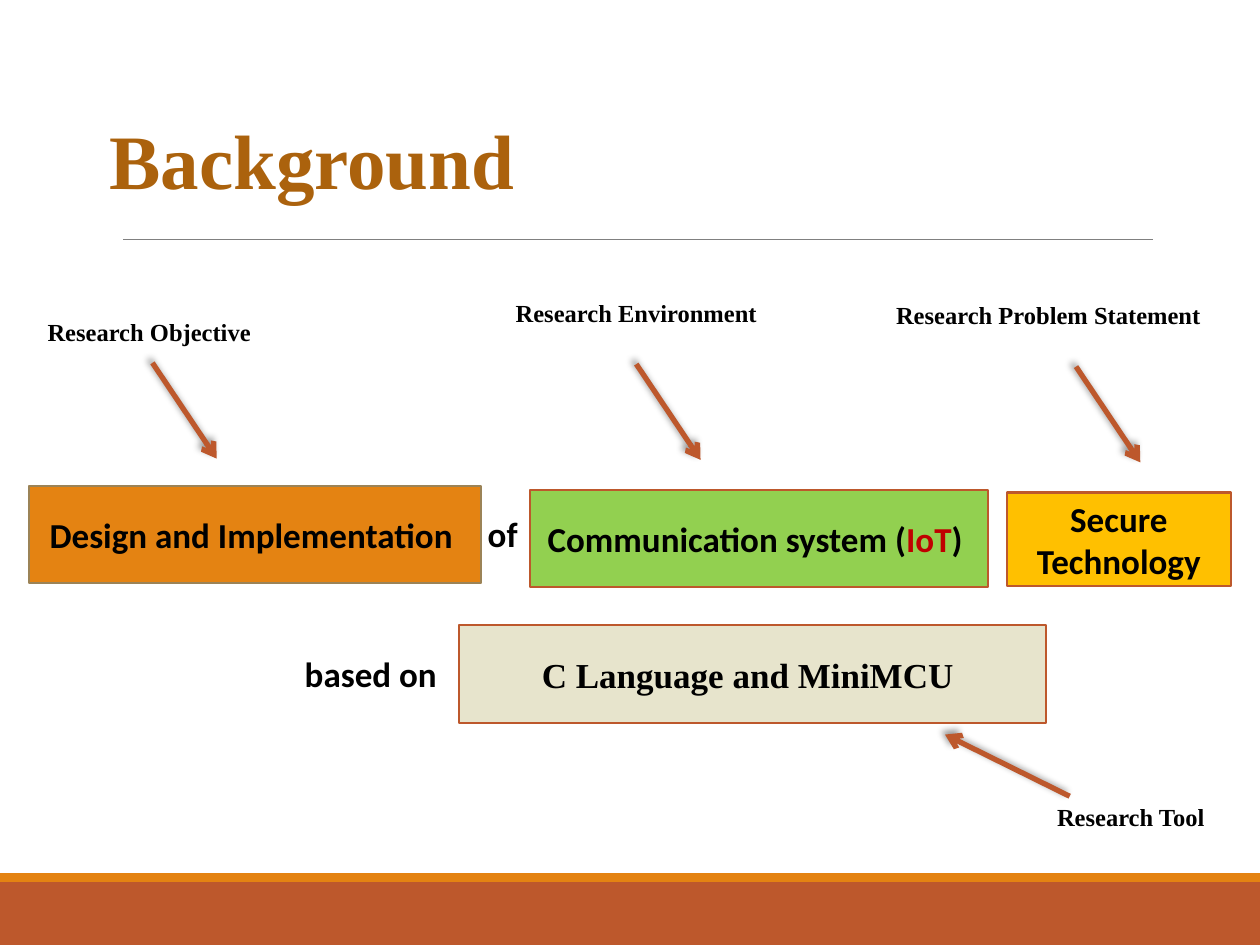
from dataclasses import dataclass

from lxml import etree
from pptx import Presentation
from pptx.dml.color import RGBColor
from pptx.enum.shapes import MSO_CONNECTOR, MSO_SHAPE
from pptx.enum.text import MSO_ANCHOR, MSO_AUTO_SIZE, PP_ALIGN
from pptx.oxml import parse_xml
from pptx.oxml.ns import nsdecls, qn
from pptx.util import Inches, Pt


@dataclass(frozen=True)
class Theme:
    rust: str = "BD582C"
    orange: str = "E48312"
    brown: str = "AB620D"
    olive: str = "9B8357"
    green: str = "92D050"
    gold: str = "FFC000"
    cream: str = "E7E4CC"
    red: str = "C00000"
    gray: str = "808080"
    black: str = "000000"
    sans: str = "Calibri"
    serif: str = "Times New Roman"
    title_size: int = 44
    phrase_size: int = 20
    label_size: int = 14


THEME = Theme()
SHADOW = f"""<a:effectLst {nsdecls("a")}>
  <a:outerShdw blurRad="{Pt(4)}" dist="{Pt(3)}" dir="{225 * 60000}" algn="tl" rotWithShape="0">
    <a:srgbClr val="{THEME.black}"><a:alpha val="40000"/></a:srgbClr>
  </a:outerShdw>
</a:effectLst>"""


def rgb(value):
    return RGBColor.from_string(value)


def inches(values):
    return [Inches(value) for value in values]


def set_all(target, values):
    for name, value in values.items():
        setattr(target, name, value)


def write(shape, runs, size, font, align=PP_ALIGN.CENTER):
    """Fill the first paragraph with bold (text, colour) runs."""
    paragraph = shape.text_frame.paragraphs[0]
    paragraph.alignment = align
    for text, color in runs:
        run = paragraph.add_run()
        run.text = text
        set_all(run.font, {"size": Pt(size), "name": font, "bold": True})
        run.font.color.rgb = rgb(color)


def add_rectangle(slide, box, fill, outline=None):
    shape = slide.shapes.add_shape(MSO_SHAPE.RECTANGLE, *inches(box))
    shape.shadow.inherit = False
    shape.fill.solid()
    shape.fill.fore_color.rgb = rgb(fill)
    if outline:
        shape.line.color.rgb = rgb(outline)
        shape.line.width = Pt(1.25)
    else:
        shape.line.fill.background()
    return shape


def add_block(slide, box, runs, fill, outline=THEME.rust, font=THEME.sans):
    block = add_rectangle(slide, box, fill, outline)
    set_all(block.text_frame, {"word_wrap": True, "vertical_anchor": MSO_ANCHOR.MIDDLE})
    write(block, runs, THEME.phrase_size, font)


def add_text(slide, box, text, size, font, color=THEME.black, align=PP_ALIGN.CENTER, wrap=True):
    text_box = slide.shapes.add_textbox(*inches(box))
    set_all(text_box.text_frame,
            {"word_wrap": wrap, "auto_size": MSO_AUTO_SIZE.SHAPE_TO_FIT_TEXT})
    write(text_box, [(text, color)], size, font, align)


def add_line(slide, start, end, color, width):
    line = slide.shapes.add_connector(MSO_CONNECTOR.STRAIGHT, *inches(start + end))
    line.line.color.rgb = rgb(color)
    line.line.width = Pt(width)
    return line


def add_arrow(slide, start, end):
    arrow = add_line(slide, start, end, THEME.rust, 3)
    etree.SubElement(arrow.line._get_or_add_ln(), qn("a:tailEnd"), type="arrow")
    arrow._element.spPr.append(parse_xml(SHADOW))


def add_label(slide, box, text, arrow_start, arrow_run, wrap=True):
    """Name one part of the phrase and point an arrow at it."""
    add_text(slide, box, text, THEME.label_size, THEME.serif, wrap=wrap)
    arrow_end = tuple(a + b for a, b in zip(arrow_start, arrow_run))
    add_arrow(slide, arrow_start, arrow_end)


def add_footer(slide, box):
    left, top, width, height = box
    stripe = 0.07
    add_rectangle(slide, (left, top + stripe, width, height - stripe), THEME.rust)
    add_rectangle(slide, (left, top, width, stripe), THEME.orange)


def add_header(slide, box):
    left, top, width, height = box
    add_text(slide, (left, top, 4.07, 0.84), "Background", THEME.title_size, THEME.serif,
             THEME.brown, PP_ALIGN.LEFT)
    rule = add_line(slide, (left + 0.21, top + height), (left + width, top + height),
                    THEME.gray, 0.5)
    rule._element.spPr.append(parse_xml(f"<a:effectLst {nsdecls('a')}/>"))


def add_phrase(slide, box):
    """Set the research title as coloured blocks joined by plain words."""
    left, top, _, _ = box
    black = THEME.black
    blocks = [
        ((0, 0, 3.59, 0.77), [("Design and Implementation ", black)],
         THEME.orange, THEME.olive, THEME.sans),
        ((3.98, 0.03, 3.63, 0.77),
         [("Communication system (", black), ("IoT", THEME.red), (") ", black)],
         THEME.green, THEME.rust, THEME.sans),
        ((7.76, 0.05, 1.78, 0.74), [("Secure Technology", black)],
         THEME.gold, THEME.rust, THEME.sans),
        ((3.41, 1.1, 4.66, 0.78), [("C Language and MiniMCU ", black)],
         THEME.cream, THEME.rust, THEME.serif),
    ]
    for (x, y, width, height), runs, fill, outline, font in blocks:
        add_block(slide, (left + x, top + y, width, height), runs, fill, outline, font)
    joining_words = [
        ((3.54, 0.16, 0.44, 0.44), "of", PP_ALIGN.CENTER),
        ((2.09, 1.27, 1.32, 0.44), "based on", PP_ALIGN.LEFT),
    ]
    for (x, y, width, height), text, align in joining_words:
        add_text(slide, (left + x, top + y, width, height), text, THEME.phrase_size,
                 THEME.sans, align=align, wrap=False)


def add_labels(slide, box):
    left, top, _, _ = box
    down, up = (0.51, 0.76), (-0.99, -0.49)
    labels = [
        ((0, 0.15, 2.05), "Research Objective", (1.05, 0.56), down, True),
        ((3.48, 0, 2.82), "Research Environment", (4.89, 0.57), down, True),
        ((6.84, 0.01, 2.69), "Research Problem Statement ", (8.38, 0.59), down, False),
        ((7.79, 4, 2.05), "Research Tool", (8.33, 4), up, True),
    ]
    for (x, y, width), text, (arrow_x, arrow_y), arrow_run, wrap in labels:
        add_label(slide, (left + x, top + y, width, 0.34), text,
                  (left + arrow_x, top + arrow_y), arrow_run, wrap)


def main():
    presentation = Presentation()
    set_all(presentation, {"slide_width": Inches(10), "slide_height": Inches(7.5)})
    slide = presentation.slides.add_slide(presentation.slide_layouts[6])
    add_footer(slide, (0, 6.93, 10, 0.57))
    add_header(slide, (0.77, 0.84, 8.38, 1.06))
    add_phrase(slide, (0.23, 3.86, 9.54, 1.88))
    add_labels(slide, (0.16, 2.32, 9.84, 4.34))
    presentation.save("out.pptx")


if __name__ == "__main__":
    main()
